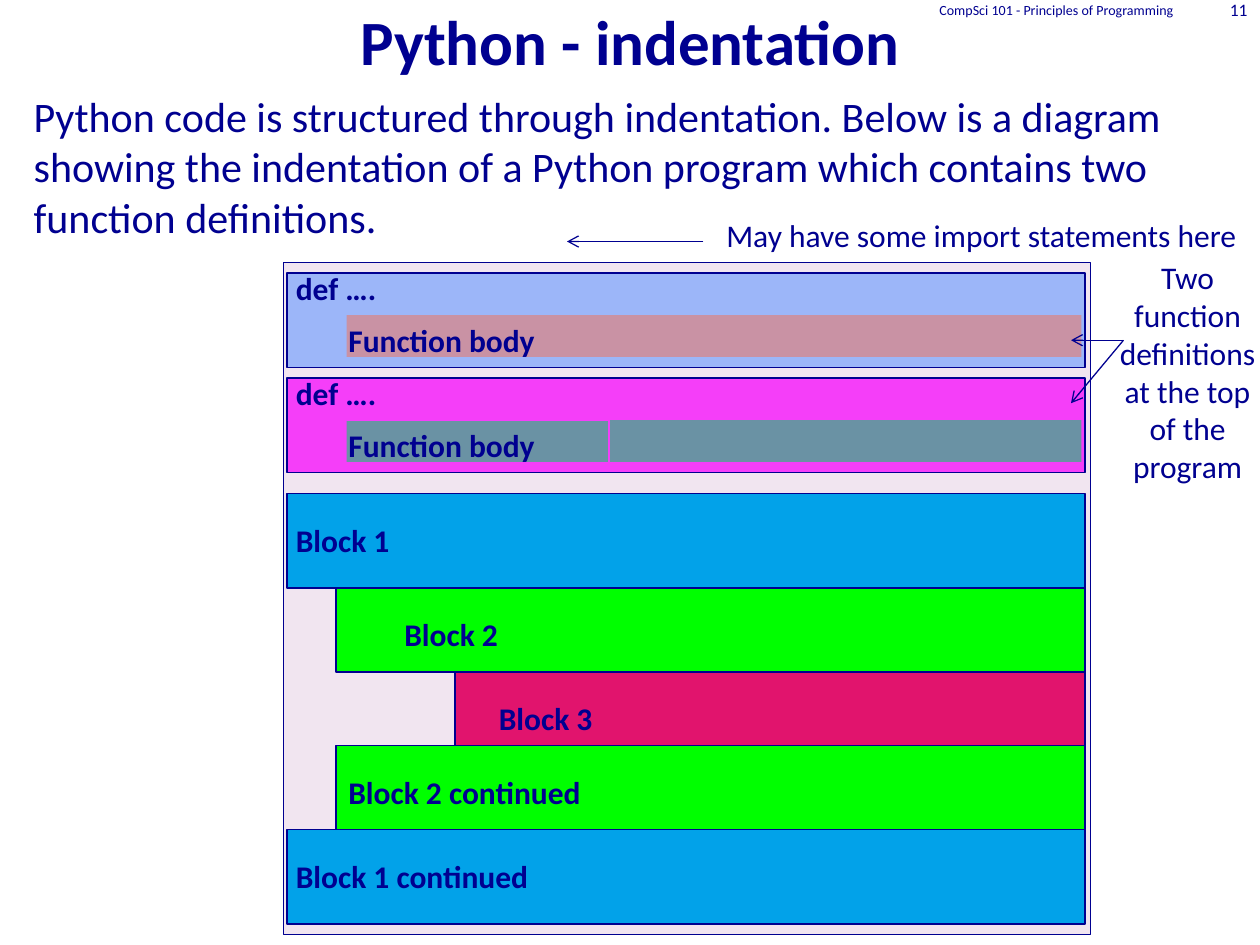
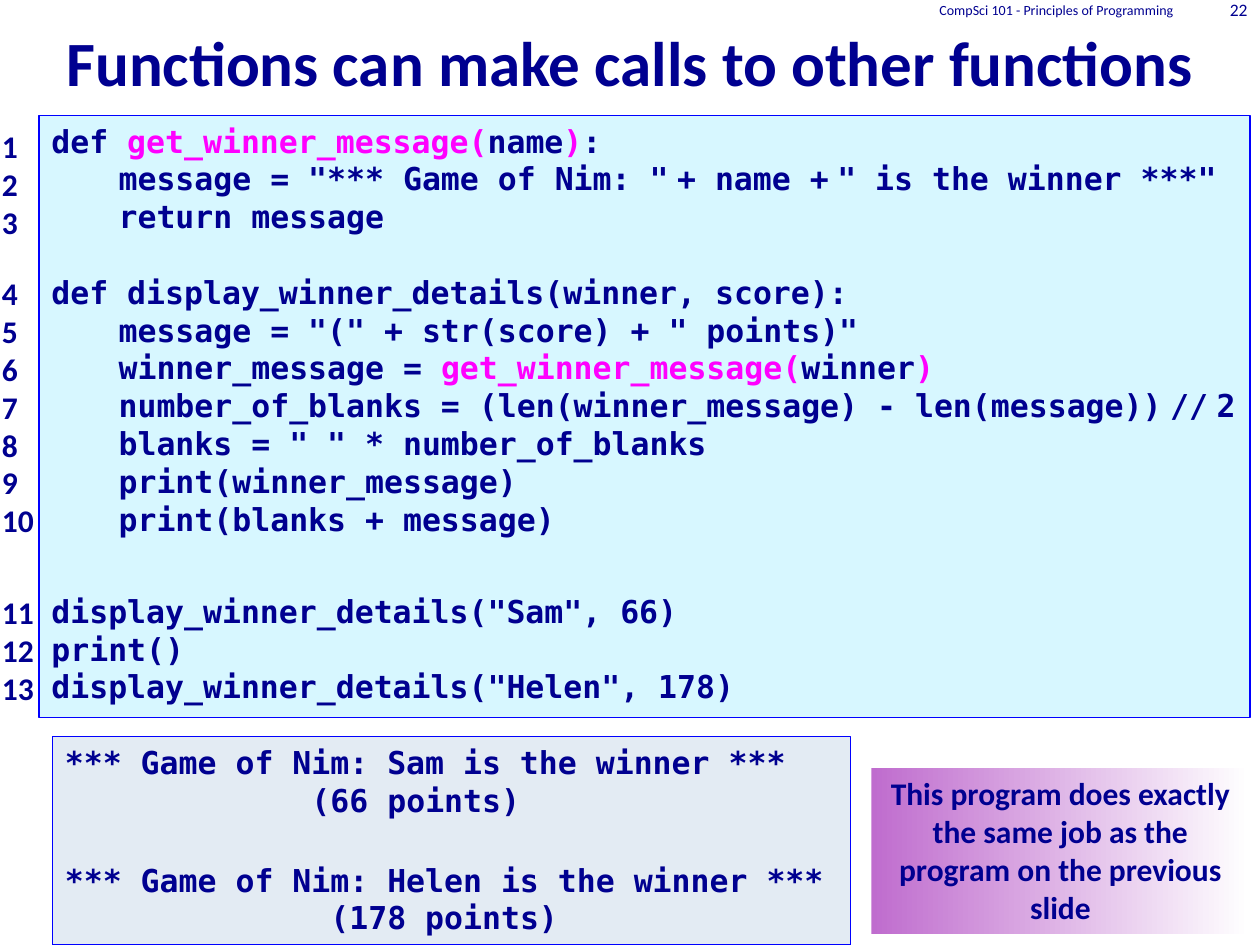
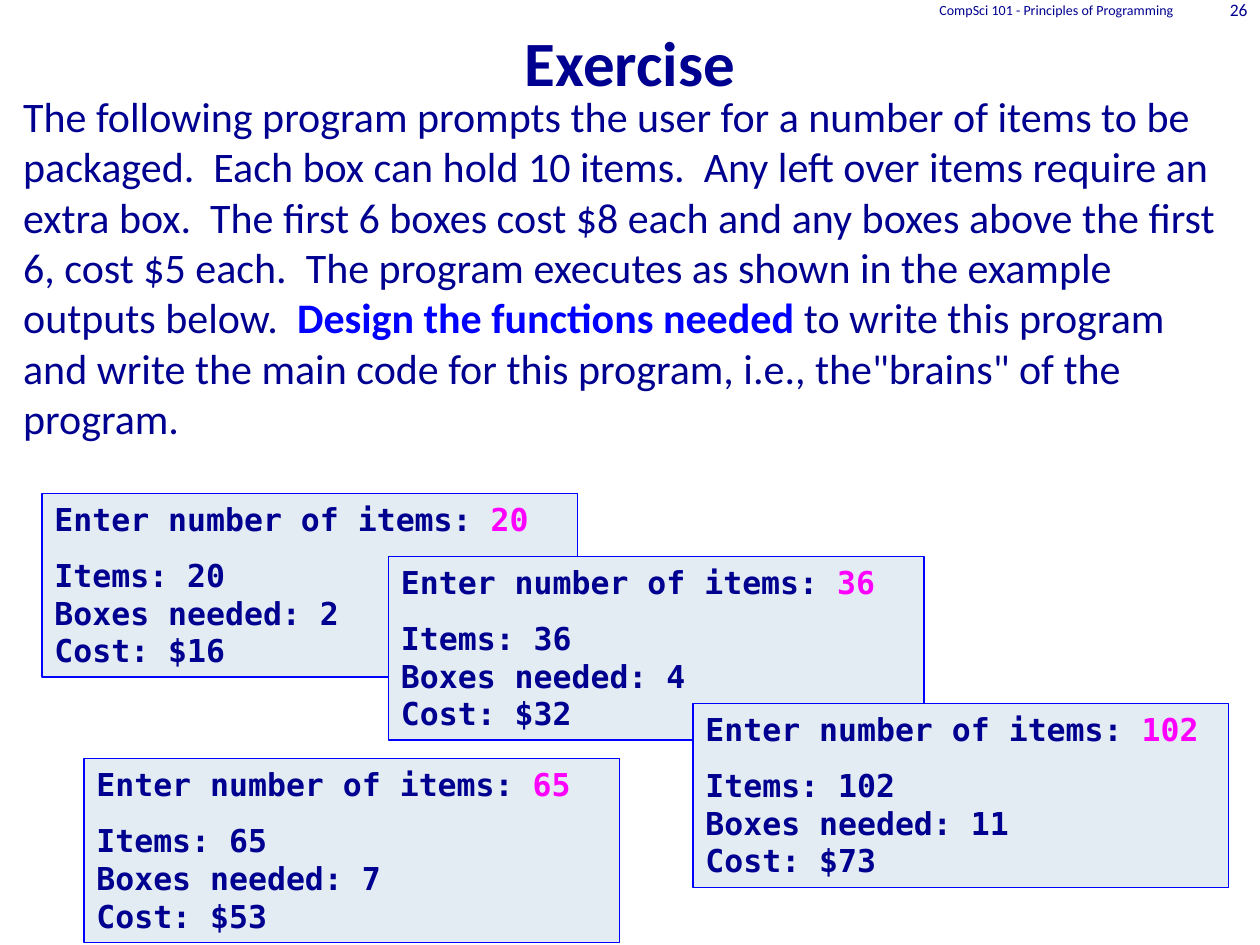
from dataclasses import dataclass

from lxml import etree
from pptx import Presentation
from pptx.dml.color import RGBColor
from pptx.enum.shapes import MSO_CONNECTOR, MSO_SHAPE
from pptx.enum.text import MSO_ANCHOR, MSO_AUTO_SIZE, PP_ALIGN
from pptx.oxml.ns import qn
from pptx.util import Pt

LEFT, MID, RIGHT = PP_ALIGN.LEFT, PP_ALIGN.CENTER, PP_ALIGN.RIGHT
TOP, CENTER, BASE = MSO_ANCHOR.TOP, MSO_ANCHOR.MIDDLE, MSO_ANCHOR.BOTTOM
FIXED = MSO_AUTO_SIZE.NONE
RECT, STRAIGHT = MSO_SHAPE.RECTANGLE, MSO_CONNECTOR.STRAIGHT
TITLE_BODY, TITLE_ONLY = 1, 5


@dataclass(frozen=True)
class Theme:
    """Colours, fonts and type sizes of the deck."""
    ink: str = "000090"
    hot: str = "FF00FF"
    blue: str = "0000FF"
    code: str = "D7F7FF"
    output: str = "E3EBF3"
    frame: str = "F1E5F0"
    sky: str = "02A2E9"
    green: str = "00FF00"
    red: str = "E1146D"
    lilac: str = "9CB6F9"
    pink: str = "F53EF9"
    rose: str = "C992A4"
    slate: str = "6A92A4"
    plum: str = "BF6CCE"
    white: str = "FFFFFF"
    sans: str = "Calibri"
    mono: str = "DejaVu Sans Mono"
    title: float = 36
    body: float = 24
    text: float = 18
    page: float = 10
    small: float = 8
    rule: float = 0.75


T = Theme()


@dataclass(frozen=True)
class Style:
    """Look of a block of text."""
    size: float = T.text
    bold: bool = False
    font: str = T.sans
    align: PP_ALIGN = LEFT
    anchor: MSO_ANCHOR = TOP


PLAIN, BOLD = Style(), Style(bold=True)
CODE = Style(bold=True, font=T.mono)
HEAD = Style(T.title, True, align=MID, anchor=BASE)
BODY = Style(T.body)
NOTE, CALL = Style(align=MID), Style(bold=True, align=MID)
FOOT = Style(T.small, align=RIGHT, anchor=CENTER)
PAGE = Style(T.page, align=RIGHT, anchor=CENTER)


@dataclass(frozen=True)
class Bit:
    """A run that differs from its style."""
    text: str
    color: str = T.ink
    size: float = 0
    bold: bool = False


class Row:
    """A paragraph of runs with its indent and the gap above it."""

    def __init__(self, *bits, indent=0, gap=0):
        self.bits = [Bit(b) if isinstance(b, str) else b for b in bits]
        self.indent, self.gap = indent, gap


def rgb(color):
    """Turn a hex string into a colour."""
    return RGBColor.from_string(color)


def write(frame, rows, style):
    """Fill a text frame with rows in one style."""
    frame.word_wrap, frame.auto_size = True, FIXED
    frame.vertical_anchor = style.anchor
    for i, row in enumerate(rows):
        row = Row(row) if isinstance(row, str) else row
        para = frame.paragraphs[0] if i == 0 else frame.add_paragraph()
        props = para._p.get_or_add_pPr()
        props.set("marL", str(Pt(row.indent)))
        props.set("indent", "0")
        para.alignment = style.align
        para.space_before = Pt(row.gap)
        etree.SubElement(props, qn("a:buNone"))
        for bit in row.bits:
            run = para.add_run()
            run.text = bit.text
            font = run.font
            font.name, font.size = style.font, Pt(bit.size or style.size)
            font.bold = style.bold or bit.bold
            font.color.rgb = rgb(bit.color)


def place(holder, box, rows, style):
    """Move a placeholder and fill it."""
    holder.left, holder.top, holder.width, holder.height = map(Pt, box)
    write(holder.text_frame, rows, style)


def label(slide, box, rows, style=BOLD):
    """Add a text box."""
    write(slide.shapes.add_textbox(*map(Pt, box)).text_frame, rows, style)


def panel(slide, box, fill=None, line=None, rows=(), style=CODE):
    """Add a rectangle, with text if given."""
    shape = slide.shapes.add_shape(RECT, *map(Pt, box))
    shape.shadow.inherit = False
    if fill:
        shape.fill.solid()
        shape.fill.fore_color.rgb = rgb(fill)
    else:
        shape.fill.background()
    if line:
        shape.line.color.rgb = rgb(line)
        shape.line.width = Pt(T.rule)
    else:
        shape.line.fill.background()
    if rows:
        write(shape.text_frame, rows, style)
    return shape


def fade(shape, start, end):
    """Give a shape a fill that fades from left to right."""
    shape.fill.gradient()
    shape.fill.gradient_angle = 0
    for stop, color, spot in zip(shape.fill.gradient_stops, (start, end), (0, 1)):
        stop.color.rgb, stop.position = rgb(color), spot


def arrow(slide, start, end):
    """Add a line with an open arrowhead at its end."""
    line = slide.shapes.add_connector(STRAIGHT, *map(Pt, start + end))
    line.line.color.rgb = rgb(T.ink)
    line.line.width = Pt(T.rule)
    tail = etree.SubElement(line.line._get_or_add_ln(), qn("a:tailEnd"))
    tail.set("type", "arrow")
    etree.SubElement(line._element.spPr, qn("a:effectLst"))


def start(deck, layout, title, page, top=0):
    """Add a slide with its title, course name and page number."""
    slide = deck.slides.add_slide(deck.slide_layouts[layout])
    place(slide.shapes.title, (0, top, 720, 60), [title], HEAD)
    label(slide, (462, -0.6, 216, 12), ["CompSci 101 - Principles of Programming"], FOOT)
    label(slide, (678, -0.6, 42, 12), [page], PAGE)
    return slide


def indents(deck):
    """Build the slide on how code is indented."""
    slide = start(deck, TITLE_BODY, "Python - indentation", "11", -12)
    place(slide.placeholders[1], (12, 48, 690, 369), [
        "Python code is structured through indentation. Below is a diagram showing "
        "the indentation of a Python program which contains two function definitions."], BODY)
    label(slide, (630, 144, 97.2, 138),
          ["Two function definitions at the top of the program"], NOTE)
    label(slide, (408, 120, 318, 29), ["May have some import statements here"], PLAIN)
    panel(slide, (162, 150, 461, 384), T.frame, T.ink)

    edge = 620
    for top, fill, inner, line in ((156, T.lilac, T.rose, None),
                                   (216, T.pink, T.slate, T.pink)):
        panel(slide, (164, top, edge - 164, 54), fill, T.ink)
        label(slide, (162, top - 6, 174, 29), ["def …."])
        panel(slide, (198, top + 24, 420, 24), inner)
        panel(slide, (192, top + 24, 156, 29), None, line, ["Function body"], BOLD)

    top = 282
    for text, left, inset, high, fill in (
            ("Block 1", 164, 162, 54, T.sky),
            ("Block 2", 192, 224, 48, T.green),
            ("Block 3", 260, 278, 42, T.red),
            ("Block 2 continued", 192, 192, 48, T.green),
            ("Block 1 continued", 164, 162, 54, T.sky)):
        panel(slide, (left, top, edge - left, high), fill, T.ink)
        label(slide, (inset, top + 12, 174, 29), [text])
        top += high

    arrow(slide, (402, 138), (324, 138))
    for end in (194.4, 230.4):
        arrow(slide, (642, 194.4), (612, end))


def calls(deck):
    """Build the slide on functions that call functions."""
    slide = start(deck, TITLE_ONLY, "Functions can make calls to other functions", "22")
    name, close = Bit("get_winner_message(", T.hot), Bit(")", T.hot)
    thin = Bit(" ", size=T.small)
    step, blank, wide = 38.4, 21.6, 31
    panel(slide, (30, 421, 456, 119), T.output, T.blue, [
        "*** Game of Nim: Sam is the winner ***",
        Row("(66 points)", indent=140.9),
        Row("*** Game of Nim: Helen is the winner ***", gap=24),
        Row("(178 points)", indent=151.7)])
    note = panel(slide, (498, 439, 216, 94.5), T.plum, None, [
        "This program does exactly the same job as the program on the previous slide"], CALL)
    fade(note, T.plum, T.white)
    panel(slide, (22.3, 66, 692, 344), T.code, T.blue, [
        Row("def ", name, "name", close, ":"),
        Row('message = "*** Game of Nim: "', thin, "+ name +", thin,
            '" is the winner ***"', indent=step),
        Row("return message", indent=step),
        Row("def display_winner_details(winner, score):", gap=blank),
        Row('message = "(" + str(score) + " points)"', indent=step),
        Row("winner_message = ", name, "winner", close, indent=step),
        Row("number_of_blanks = (len(winner_message) - len(message))",
            thin, "//", thin, "2", indent=step),
        Row('blanks = " " * number_of_blanks', indent=step),
        Row("print(winner_message)", indent=step),
        Row("print(blanks + message)", indent=step),
        Row('display_winner_details("Sam", 66)', gap=wide),
        "print()",
        'display_winner_details("Helen", 178)'])
    gaps = {4: 19.5, 11: wide}
    label(slide, (-6, 69, 42, 342),
          [Row(str(n), gap=gaps.get(n, 0)) for n in range(1, 14)])


def task(deck):
    """Build the slide with the exercise and its sample runs."""
    slide = start(deck, TITLE_BODY, "Exercise", "26")
    place(slide.placeholders[1], (6, 48, 696, 462), [Row(
        "The following program prompts the user for a number of items to be packaged.  "
        "Each box can hold 10 items.  Any left over items require an extra box.  "
        "The first 6 boxes cost $8 each and any boxes above the first 6, cost $5 each.  "
        "The program executes as shown in the example outputs below.  ",
        Bit("Design the functions needed ", T.blue, bold=True),
        "to write this program and write the main code for this program, "
        'i.e., the"brains" of the program.')], BODY)
    for left, top, items, boxes, cost in ((24, 282, 20, 2, 16), (48, 433.5, 65, 7, 53),
                                          (222, 318, 36, 4, 32), (396, 402, 102, 11, 73)):
        panel(slide, (left, top, 306, 105), T.output, T.blue, [
            Row("Enter number of items: ", Bit(str(items), T.hot)),
            Row(f"Items: {items}", gap=10.5),
            f"Boxes needed: {boxes}",
            f"Cost: ${cost}"])


def main():
    """Build and save the deck."""
    deck = Presentation()
    deck.slide_width, deck.slide_height = Pt(720), Pt(540)
    for build in (indents, calls, task):
        build(deck)
    deck.save("out.pptx")


if __name__ == "__main__":
    main()
